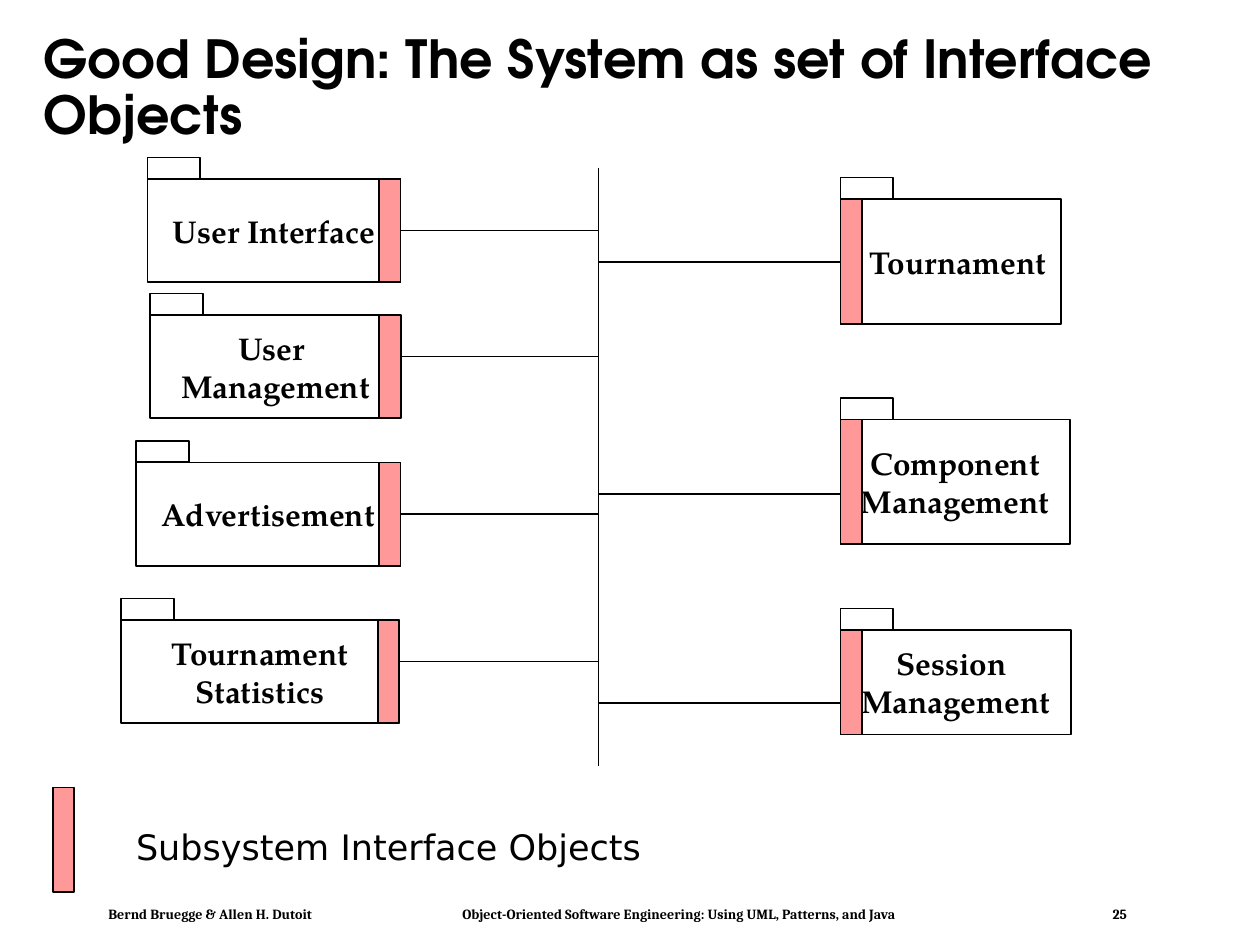
from lxml import etree
from pptx import Presentation
from pptx import util as u
from pptx.dml.color import RGBColor
from pptx.enum import shapes, text
from pptx.oxml import ns

Inches = u.Inches
COLORS = {"ink": "000000", "paper": "FFFFFF", "interface": "FF9999"}
FONTS = {
    "title": {"name": "TeX Gyre Adventor", "size": u.Pt(30), "bold": True},
    "package": {"name": "TeX Gyre Pagella", "size": u.Pt(18), "bold": True},
    "legend": {"name": "DejaVu Sans", "size": u.Pt(20), "bold": False},
    "footer": {"name": "Cambria", "size": u.Pt(8), "bold": True},
}
BUS_X = 4.75
BAR_W = 0.17
TAB_W, TAB_H = 0.42, 0.17

# lines of the name, left, top, width, height, height of the link
LEFT_PACKAGES = [
    (["User Interface"], 1.17, 1.42, 2.01, 0.82, 1.83),
    (["User ", "Management"], 1.19, 2.5, 1.99, 0.82, 2.83),
    (["Advertisement"], 1.08, 3.67, 2.1, 0.82, 4.08),
    (["Tournament", "Statistics"], 0.96, 4.92, 2.21, 0.82, 5.25),
]
RIGHT_PACKAGES = [
    (["Tournament"], 6.67, 1.58, 1.75, 0.99, 2.08),
    (["Component", "Management"], 6.67, 3.33, 1.82, 0.99, 3.92),
    (["Session ", "Management"], 6.67, 5, 1.83, 0.83, 5.58),
]
FOOTER = ["Bernd Bruegge & Allen H. Dutoit",
          "Object-Oriented Software Engineering: Using UML, Patterns, and Java",
          "25"]
FOOTER_STOPS = [2.81, 7.97]


def rgb(key):
    return RGBColor.from_string(COLORS[key])


def write(tf, lines, font, align=text.PP_ALIGN.CENTER, wrap=False):
    tf.word_wrap = wrap
    tf.vertical_anchor = text.MSO_ANCHOR.MIDDLE
    for i, line in enumerate(lines):
        p = tf.paragraphs[0] if i == 0 else tf.add_paragraph()
        p.alignment = align
        r = p.add_run()
        r.text = line
        for attr, value in FONTS[font].items():
            setattr(r.font, attr, value)
        r.font.color.rgb = rgb("ink")


def add_text(s, box, lines, font, **options):
    tf = s.shapes.add_textbox(*map(Inches, box)).text_frame
    write(tf, lines, font, **options)
    return tf


def add_box(s, left, top, width, height, fill="paper"):
    sp = s.shapes.add_shape(shapes.MSO_SHAPE.RECTANGLE,
                            *map(Inches, (left, top, width, height)))
    sp.shadow.inherit = False
    sp.fill.solid()
    sp.fill.fore_color.rgb = rgb(fill)
    sp.line.color.rgb = rgb("ink")
    sp.line.width = u.Pt(1)
    return sp


def add_line(s, x1, y1, x2, y2):
    line = s.shapes.add_connector(shapes.MSO_CONNECTOR.STRAIGHT,
                                  *map(Inches, (x1, y1, x2, y2)))
    line.line.color.rgb = rgb("ink")
    line.line.width = u.Pt(1)
    etree.SubElement(line._element.spPr, ns.qn("a:effectLst"))


def add_package(s, lines, left, top, width, height, link_y, bar_on_right):
    """Draw a package with its interface bar on the side that faces the bus."""
    body = add_box(s, left, top, width, height)
    write(body.text_frame, lines, "package")
    edge = left + width if bar_on_right else left
    add_line(s, edge, link_y, BUS_X, link_y)
    bar_left = edge - BAR_W if bar_on_right else edge
    add_box(s, bar_left, top, BAR_W, height, "interface")
    add_box(s, left, top - TAB_H, TAB_W, TAB_H)
    return body


def add_footer(s):
    tf = add_text(s, (0.78, 7.15, 8.27, 0.21), ["\t".join(FOOTER)], "footer",
                  align=text.PP_ALIGN.LEFT, wrap=True)
    tf.margin_left = tf.margin_right = Inches(0.08)
    tf.margin_top = tf.margin_bottom = Inches(0.04)
    pPr = tf.paragraphs[0]._p.get_or_add_pPr()
    stops = etree.SubElement(pPr, ns.qn("a:tabLst"))
    for stop in FOOTER_STOPS:
        etree.SubElement(stops, ns.qn("a:tab"), pos=str(Inches(stop)), algn="l")


def main():
    prs = Presentation()
    prs.slide_width, prs.slide_height = Inches(10), Inches(7.5)
    s = prs.slides.add_slide(prs.slide_layouts[6])

    add_footer(s)
    title = add_text(s, (0.25, 0.24, 9.43, 0.94),
                     ["Good Design: The System as set of Interface Objects"],
                     "title", align=text.PP_ALIGN.LEFT, wrap=True)
    title.paragraphs[0].line_spacing = 0.9

    add_line(s, BUS_X, 1.33, BUS_X, 6.08)
    for package in LEFT_PACKAGES:
        add_package(s, *package, bar_on_right=True)
    bodies = [add_package(s, *package, bar_on_right=False)
              for package in RIGHT_PACKAGES]
    bodies[0].text_frame.margin_left = Inches(0.21)  # clears the bar

    add_box(s, 0.42, 6.25, BAR_W, 0.83, "interface")
    add_text(s, (0.96, 6.5, 4.25, 0.43), ["Subsystem Interface Objects"],
             "legend")
    prs.save("out.pptx")


if __name__ == "__main__":
    main()
